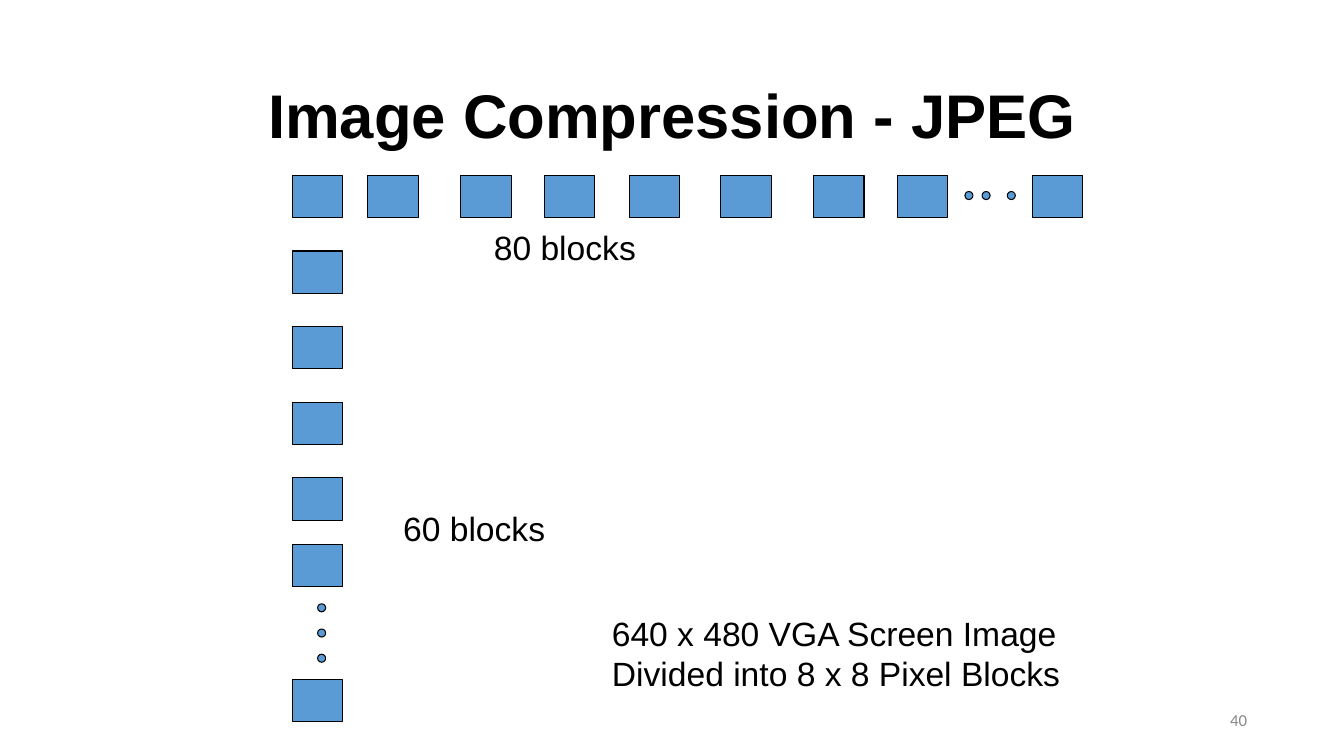
import pptx
import pptx.util
import pptx.dml.color
import pptx.enum.shapes
import pptx.enum.text

Inches = pptx.util.Inches
Align = pptx.enum.text.PP_ALIGN
Anchor = pptx.enum.text.MSO_ANCHOR
Shape = pptx.enum.shapes.MSO_SHAPE


def color(hex_code):
    return pptx.dml.color.RGBColor.from_string(hex_code)


def write(frame, text, size=24, font="Arial", ink="000000", bold=False,
          align=Align.LEFT, anchor=Anchor.TOP, inset=None, wrap=False):
    """Fill a text frame, one paragraph for each line of text."""
    frame.word_wrap = wrap
    frame.vertical_anchor = anchor
    if inset is not None:
        frame.margin_left = frame.margin_right = Inches(inset)
        frame.margin_top = frame.margin_bottom = Inches(inset)
    for index, line in enumerate(text.split("\n")):
        para = frame.add_paragraph() if index else frame.paragraphs[0]
        para.alignment = align
        span = para.add_run()
        span.text = line
        span.font.size = pptx.util.Pt(size)
        span.font.name = font
        span.font.bold = bold
        span.font.color.rgb = color(ink)


class BlockSlide:
    FILL = "5B9BD5"
    LINE = "000000"
    BLOCK = (0.5, 0.42)
    DOT = (0.08, 0.08)

    def __init__(self, deck):
        self.page = deck.slides.add_slide(deck.slide_layouts[5])

    def title(self, text, left, top, width, height):
        box = self.page.shapes.title
        box.left, box.top = Inches(left), Inches(top)
        box.width, box.height = Inches(width), Inches(height)
        write(box.text_frame, text, size=44, bold=True, align=Align.CENTER,
              anchor=Anchor.MIDDLE, inset=0.05, wrap=True)

    def label(self, text, left, top, width, height, **style):
        box = self.page.shapes.add_textbox(
            Inches(left), Inches(top), Inches(width), Inches(height))
        write(box.text_frame, text, **style)
        box.text_frame.auto_size = pptx.enum.text.MSO_AUTO_SIZE.SHAPE_TO_FIT_TEXT

    def shape(self, kind, left, top, size):
        shape = self.page.shapes.add_shape(
            kind, Inches(left), Inches(top), Inches(size[0]), Inches(size[1]))
        shape.shadow.inherit = False
        shape.fill.solid()
        shape.fill.fore_color.rgb = color(self.FILL)
        shape.line.color.rgb = color(self.LINE)
        shape.line.width = pptx.util.Pt(0.75)

    def block(self, left, top):
        self.shape(Shape.RECTANGLE, left, top, self.BLOCK)

    def dot(self, left, top):
        self.shape(Shape.OVAL, left, top, self.DOT)


def main():
    deck = pptx.Presentation()
    deck.slide_width, deck.slide_height = Inches(13.33), Inches(7.5)
    slide = BlockSlide(deck)

    # Title and page number
    slide.title("Image Compression - JPEG", 0.92, 0.4, 11.5, 1.45)
    slide.label("40", 12.02, 7, 0.4, 0.29, size=12, font="Calibri",
                ink="888888", align=Align.RIGHT, anchor=Anchor.MIDDLE,
                inset=0.05, wrap=True)

    # Top row of blocks, sharing its first block with the left column
    row_top, column_left = 1.74, 2.9
    for left in (column_left, 3.65, 4.57, 5.4, 6.24, 7.15, 8.07, 8.9, 10.24):
        slide.block(left, row_top)
    for left in (9.57, 9.74, 9.99):
        slide.dot(left, 1.9)

    # Left column of blocks
    even_tops = [row_top + 0.75 * step for step in range(1, 5)]
    for top in even_tops + [5.4, 6.74]:
        slide.block(column_left, top)
    for step in range(3):
        slide.dot(3.15, 5.99 + 0.25 * step)

    # Labels
    slide.label("80 blocks", 4.8, 2.2, 1.61, 0.5)
    slide.label("60 blocks", 3.9, 4.99, 1.61, 0.5)
    slide.label("640 x 480 VGA Screen Image\nDivided into 8 x 8 Pixel Blocks",
                5.97, 6.03, 4.65, 0.9)

    deck.save("out.pptx")


if __name__ == "__main__":
    main()
